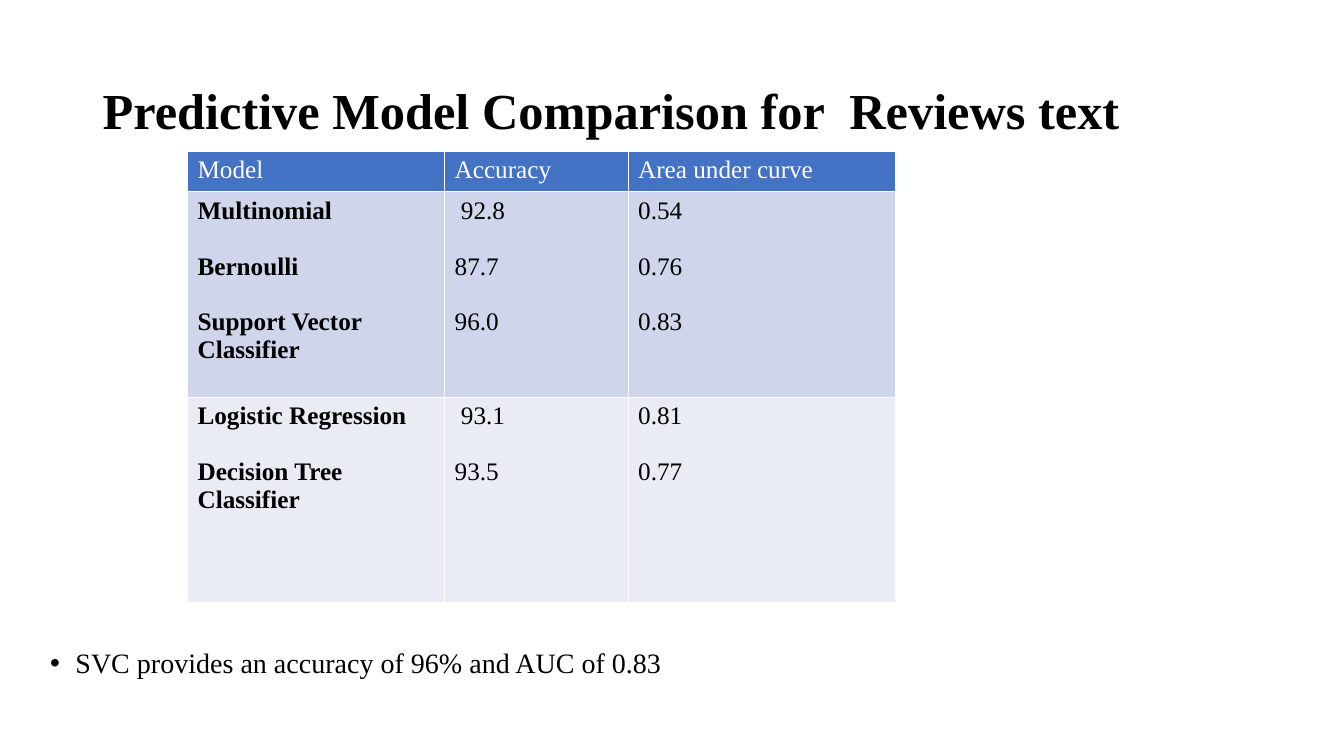
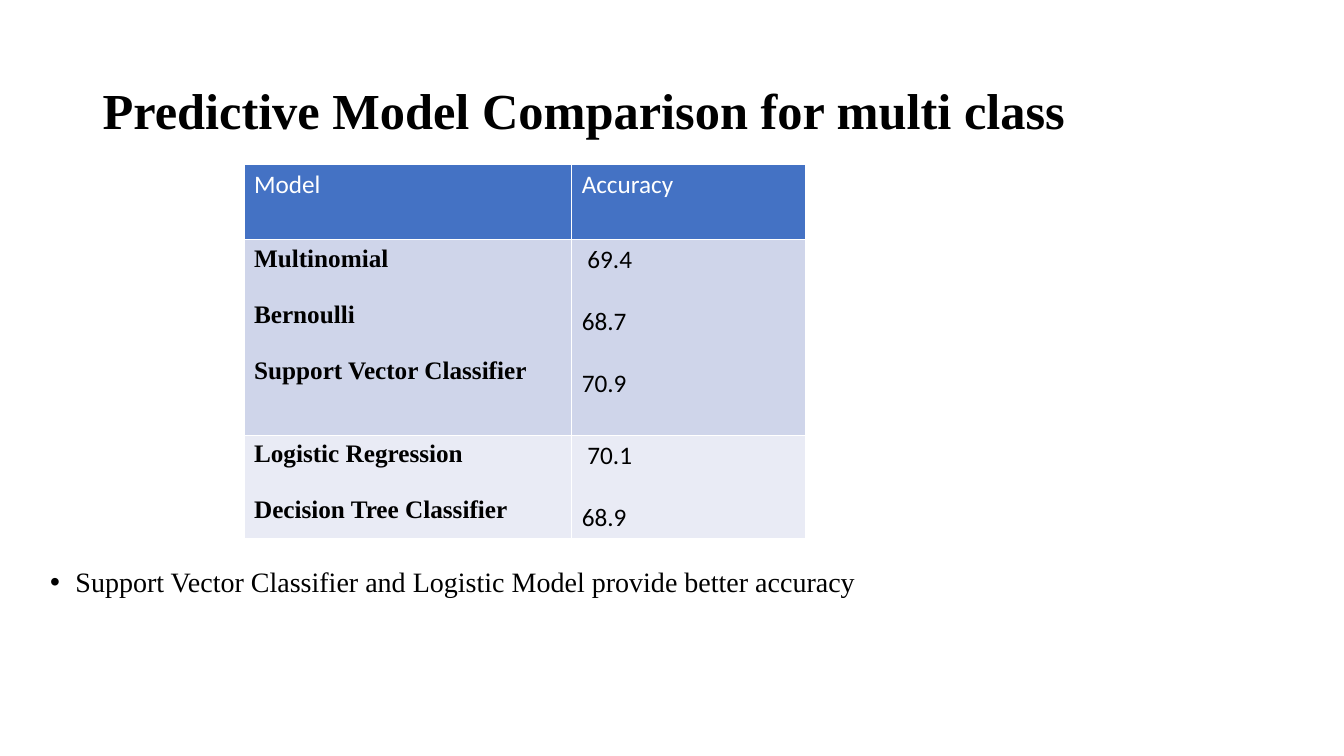
import pptx
import pptx.util
import pptx.dml.color
import pptx.enum.text
import lxml.etree

Inches, Pt = pptx.util.Inches, pptx.util.Pt
ANCHOR = pptx.enum.text.MSO_ANCHOR
SERIF, SANS = "Times New Roman", "Calibri"
COLORS = {"black": "000000", "white": "FFFFFF", "head": "4472C4",
          "band": "CFD5EA", "pale": "E9EBF5"}


def tint(name):
    return pptx.dml.color.RGBColor.from_string(COLORS[name])


def write(frame, text, size=18, font=SERIF, color="black", bold=False,
          gap=0, lead=None, anchor=ANCHOR.TOP, bullet=False):
    """Fill a text frame, one paragraph per line of text."""
    frame.word_wrap = True
    frame.vertical_anchor = anchor
    for i, line in enumerate(text.split("\n")):
        para = frame.paragraphs[0] if i == 0 else frame.add_paragraph()
        para.space_before = Pt(gap if i else 0)
        if lead:
            para.line_spacing = lead
        run = para.add_run()
        run.text = line
        run.font.size, run.font.name, run.font.bold = Pt(size), font, bold
        run.font.color.rgb = tint(color)
        if bullet:
            props = para._p.get_or_add_pPr()
            props.set("marL", str(Inches(0.25)))
            props.set("indent", str(Inches(-0.25)))
            space = pptx.oxml.ns.qn("a:buFont")
            lxml.etree.SubElement(props, space).set("typeface", "Arial")
            mark = pptx.oxml.ns.qn("a:buChar")
            lxml.etree.SubElement(props, mark).set("char", "•")


# Contents; gap is the height of one empty line in the data font
MODELS = ["Multinomial\nBernoulli\nSupport Vector Classifier",
          "Logistic Regression\nDecision Tree Classifier"]
PAGES = [
    {"title": "Predictive Model Comparison for  Reviews text",
     "note": "SVC provides an accuracy of 96% and AUC of 0.83",
     "note_top": 6.39, "note_high": 0.67,
     "left": 1.86, "top": 1.5, "font": SERIF, "gap": 20,
     "cols": [2.55, 1.82, 2.65], "rows": [0.37, 2.04, 2.04],
     "head": ["Model", "Accuracy", "Area under curve"],
     "data": [[" 92.8\n87.7\n96.0", "0.54\n0.76\n0.83"],
              [" 93.1\n93.5", "0.81\n0.77"]]},
    {"title": "Predictive Model Comparison for multi class",
     "note": "Support Vector Classifier and Logistic Model provide better accuracy",
     "note_top": 5.59, "note_high": 1.48,
     "left": 2.42, "top": 1.63, "font": SANS, "gap": 22,
     "cols": [3.25, 2.32], "rows": [0.75, 1.94, 1.02],
     "head": ["Model", "Accuracy"],
     "data": [[" 69.4\n68.7\n70.9"], [" 70.1\n68.9"]]},
]

deck = pptx.Presentation()
deck.slide_width, deck.slide_height = Inches(13.33), Inches(7.5)

for page in PAGES:
    slide = deck.slides.add_slide(deck.slide_layouts[6])

    # Title
    title = slide.shapes.add_textbox(Inches(0.92), Inches(0.4),
                                     Inches(11.5), Inches(1.45))
    write(title.text_frame, page["title"], size=36, bold=True, lead=0.9,
          anchor=ANCHOR.MIDDLE)

    # Finding under the table
    note = slide.shapes.add_textbox(Inches(0.4), Inches(page["note_top"]),
                                    Inches(11.66), Inches(page["note_high"]))
    write(note.text_frame, page["note"], size=20, lead=0.9, bullet=True)

    # Table; its style draws the white rules
    cols, rows = page["cols"], page["rows"]
    table = slide.shapes.add_table(
        len(rows), len(cols), Inches(page["left"]), Inches(page["top"]),
        Inches(sum(cols)), Inches(sum(rows))).table
    for c, width in enumerate(cols):
        table.columns[c].width = Inches(width)
    lines = [page["head"]]
    lines += [[name] + vals for name, vals in zip(MODELS, page["data"])]
    for r, (line, fill) in enumerate(zip(lines, ["head", "band", "pale"])):
        table.rows[r].height = Inches(rows[r])
        for c, text in enumerate(line):
            cell = table.cell(r, c)
            cell.fill.solid()
            cell.fill.fore_color.rgb = tint(fill)
            label = r > 0 and c == 0
            write(cell.text_frame, text, bold=label,
                  font=SERIF if label else page["font"],
                  color="black" if r else "white",
                  gap=20 if label else page["gap"])

deck.save("out.pptx")
